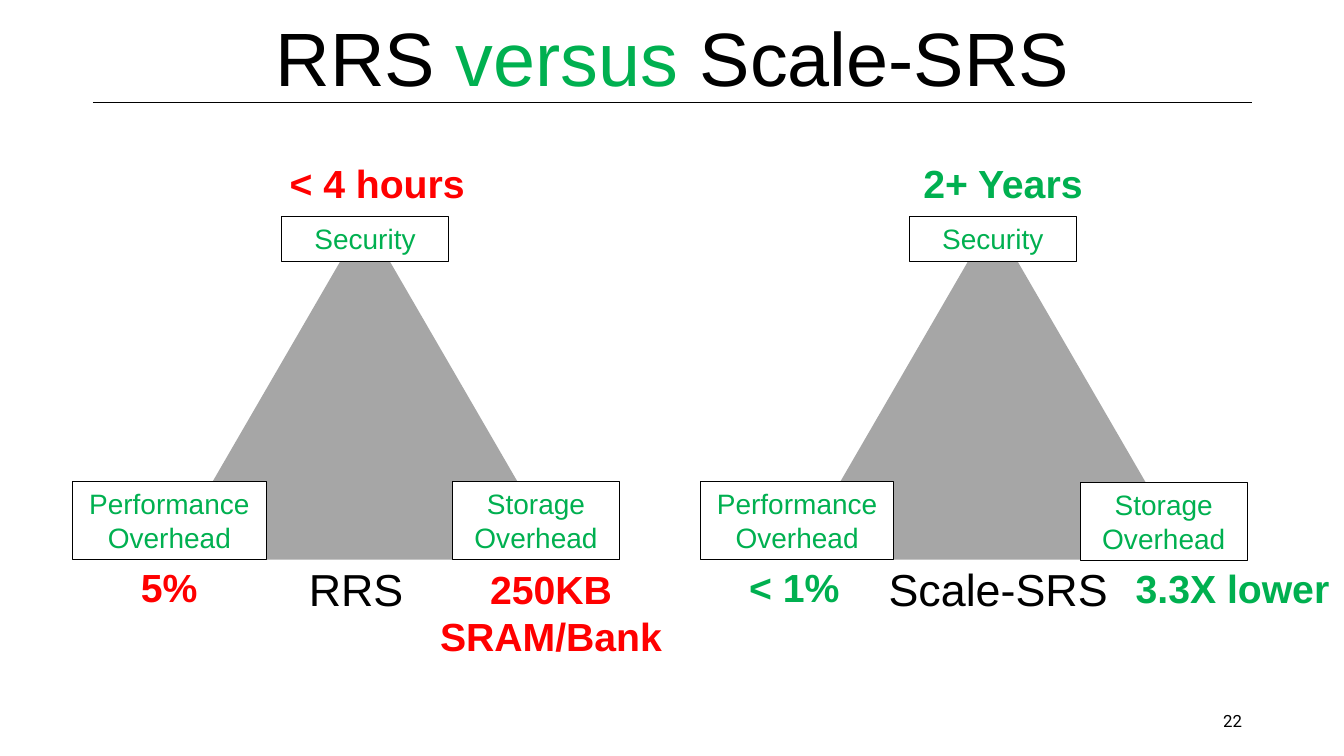
import pptx
import pptx.dml.color
import pptx.enum.shapes
import pptx.enum.text
import pptx.oxml
import pptx.util

Cm = pptx.util.Cm
Align = pptx.enum.text.PP_ALIGN
Anchor = pptx.enum.text.MSO_ANCHOR
Shape = pptx.enum.shapes.MSO_SHAPE

COLORS = {"black": "000000", "white": "FFFFFF", "gray": "A6A6A6",
          "green": "00B050", "red": "FF0000"}
PANEL_STEP = 15.82  # from the left triangle to the right one


def color(name):
    return pptx.dml.color.RGBColor.from_string(COLORS[name])


class SlideBuilder:
    font = "Arial"

    def __init__(self, slide):
        self.slide = slide

    def style(self, font, size, shade, bold=False, name=None):
        font.name = name or self.font
        font.size = pptx.util.Pt(size)
        font.bold = bold
        font.color.rgb = color(shade)

    def title(self, parts, left, top, width, height):
        title = self.slide.shapes.title
        title.left, title.top = Cm(left), Cm(top)
        title.width, title.height = Cm(width), Cm(height)
        frame = title.text_frame
        frame.auto_size = pptx.enum.text.MSO_AUTO_SIZE.NONE
        frame.vertical_anchor = Anchor.MIDDLE
        para = frame.paragraphs[0]
        para.alignment = Align.CENTER
        para.line_spacing = 0.9
        for words, shade in parts:
            span = para.add_run()
            span.text = words
            self.style(span.font, 54, shade)

    def rule(self, left, right, top):
        line = self.slide.shapes.add_connector(
            pptx.enum.shapes.MSO_CONNECTOR.STRAIGHT,
            Cm(left), Cm(top), Cm(right), Cm(top))
        line.line.color.rgb = color("black")
        line.line.width = pptx.util.Pt(0.5)
        line._element.spPr.append(pptx.oxml.parse_xml(
            '<a:effectLst xmlns:a='
            '"http://schemas.openxmlformats.org/drawingml/2006/main"/>'))

    def fill_text(self, box, words, size, shade, bold=False, name=None,
                  align=Align.CENTER, anchor=Anchor.TOP):
        frame = box.text_frame
        frame.word_wrap = True
        frame.vertical_anchor = anchor
        para = frame.paragraphs[0]
        para.text = words
        para.alignment = align
        self.style(para.font, size, shade, bold, name)

    def label(self, words, left, top, width, height, size, shade, **options):
        box = self.slide.shapes.add_textbox(
            Cm(left), Cm(top), Cm(width), Cm(height))
        self.fill_text(box, words, size, shade, **options)

    def shape(self, group, kind, left, top, width, height, fill):
        shape = group.shapes.add_shape(
            kind, Cm(left), Cm(top), Cm(width), Cm(height))
        shape.shadow.inherit = False
        shape.fill.solid()
        shape.fill.fore_color.rgb = color(fill)
        shape.line.fill.background()
        return shape

    def corner(self, group, words, left, top, width, height):
        box = self.shape(group, Shape.RECTANGLE, left, top, width, height, "white")
        box.line.color.rgb = color("black")
        box.line.width = pptx.util.Pt(0.75)
        self.fill_text(box, words, 20, "green")

    def triangle(self, shift, storage_top):
        group = self.slide.shapes.add_group_shape()
        self.shape(group, Shape.ISOSCELES_TRIANGLE,
                   4.22 + shift, 5.51, 9.96, 8.59, "gray")
        self.corner(group, "Storage Overhead", 11.4 + shift, storage_top, 4.22, 1.96)
        self.corner(group, "Performance Overhead", 1.83 + shift, 12.14, 4.88, 1.96)
        self.corner(group, "Security", 7.09 + shift, 5.46, 4.22, 1.12)


def main():
    deck = pptx.Presentation()
    deck.slide_width, deck.slide_height = Cm(33.87), Cm(19.05)
    page = SlideBuilder(deck.slides.add_slide(deck.slide_layouts[5]))

    # Heading and slide number
    page.rule(2.34, 31.55, 2.57)
    page.title([("RRS", "black"), (" versus ", "green"), ("Scale-SRS", "black")],
               2.34, 0.58, 29.21, 1.98)
    page.label("22", 23.93, 17.65, 7.62, 1.02, 12, "black", name="Roboto",
               align=Align.RIGHT, anchor=Anchor.MIDDLE)

    # Trade-off triangles
    for index, storage_top in enumerate((12.14, 12.17)):
        page.triangle(index * PANEL_STEP, storage_top)

    # Design names under the triangles
    for words, left, width in (("RRS", 6.45, 5.05), ("Scale-SRS", 21.92, 6.48)):
        page.label(words, left, 14.02, width, 1.63, 32, "black")

    # Result beside each corner
    results = [
        ("< 4 hours", 6.38, 3.89, 6.25, 1.45, "red"),
        ("5%", 1.14, 14.07, 6.25, 1.45, "red"),
        ("250KB SRAM/Bank", 9.86, 14.12, 8.05, 2.64, "red"),
        ("2+ Years", 22.15, 3.89, 6.25, 1.45, "green"),
        ("< 1%", 17.58, 14.07, 4.88, 1.45, "green"),
        ("3.3X lower", 28.24, 14.1, 5.64, 1.45, "green"),
    ]
    for words, left, top, width, height, shade in results:
        page.label(words, left, top, width, height, 28, shade, bold=True)

    deck.save("out.pptx")


if __name__ == "__main__":
    main()
